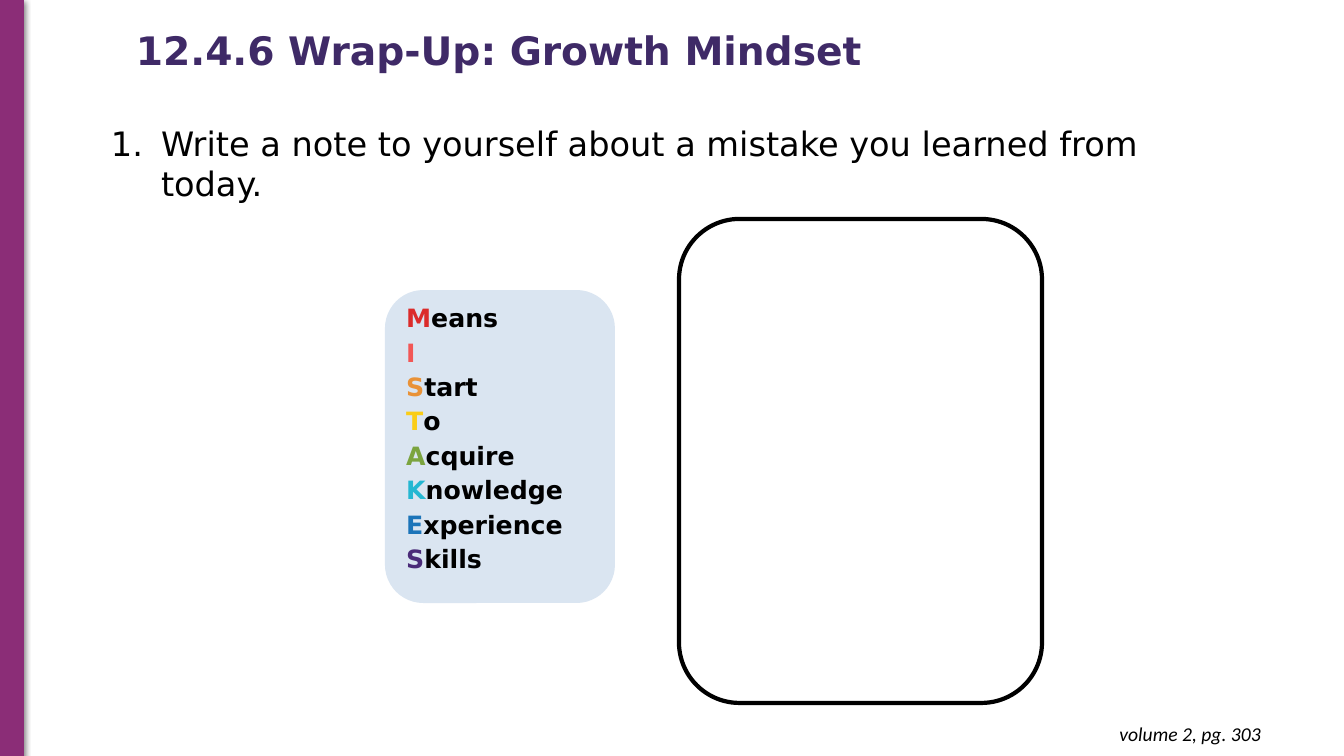
from lxml.etree import SubElement
from pptx import Presentation
from pptx.dml.color import RGBColor
from pptx.enum.shapes import MSO_SHAPE as SHAPE
from pptx.enum.text import MSO_ANCHOR as ANCHOR, PP_ALIGN as ALIGN
from pptx.oxml.ns import qn
from pptx.util import Pt

PX = 914400 / 100.8
BLACK = "000000"
PURPLE = "8B2D77"


def px(*lengths):
    return [round(n * PX) for n in lengths]


def add_text(sp, lines, size, font="DejaVu Sans", bold=False, italic=False,
             align=ALIGN.LEFT, anchor=ANCHOR.TOP, spacing=None,
             insets=(10, 5, 10, 5), number_indent=0):
    """Fill a shape; each line is a list of (text, colour) runs."""
    tf = sp.text_frame
    tf.word_wrap = True
    tf.vertical_anchor = anchor
    tf.margin_left, tf.margin_top, tf.margin_right, tf.margin_bottom = px(*insets)
    for i, runs in enumerate(lines):
        p = tf.add_paragraph() if i else tf.paragraphs[0]
        p.alignment = align
        p.line_spacing = spacing
        if number_indent:
            pPr = p._p.get_or_add_pPr()
            indent, = px(number_indent)
            pPr.set("marL", str(indent))
            pPr.set("indent", str(-indent))
            SubElement(pPr, qn("a:buFont"), typeface=font)
            SubElement(pPr, qn("a:buAutoNum"), type="arabicPeriod")
        for text, color in runs:
            r = p.add_run()
            r.text = text
            r.font.name, r.font.size = font, Pt(size)
            r.font.bold, r.font.italic = bold, italic
            r.font.color.rgb = RGBColor.from_string(color)


prs = Presentation()
prs.slide_width, prs.slide_height = px(1344, 756)
s = prs.slides.add_slide(prs.slide_layouts[6])

# Shapes: kind, box, fill, line, line width
shapes = []
for kind, box, fill, line, width in [
    (SHAPE.RECTANGLE, (0, 0, 24, 757), PURPLE, PURPLE, 0.75),
    (SHAPE.ROUNDED_RECTANGLE, (679, 219, 363, 484), None, BLACK, 3),
    (SHAPE.ROUNDED_RECTANGLE, (385, 290, 230, 313), "DAE5F1", None, 0),
]:
    sp = s.shapes.add_shape(kind, *px(*box))
    sp.shadow.inherit = False
    if fill:
        sp.fill.solid()
        sp.fill.fore_color.rgb = RGBColor.from_string(fill)
    else:
        sp.fill.background()
    if line:
        sp.line.color.rgb = RGBColor.from_string(line)
        sp.line.width = Pt(width)
    else:
        sp.line.fill.background()
    shapes.append(sp)
side_bar, note_frame, acronym_card = shapes

# Soft shadow under the side bar
effects = side_bar._element.spPr.find(qn("a:effectLst"))
shadow = SubElement(effects, qn("a:outerShdw"), blurRad=str(Pt(4.5)),
                    dist=str(Pt(1.5)), dir="5400000", rotWithShape="0")
shadow_color = SubElement(shadow, qn("a:srgbClr"), val=BLACK)
SubElement(shadow_color, qn("a:alpha"), val="50000")

# Title, task and page reference
title = s.shapes.add_textbox(*px(126, -20, 884, 146))
add_text(title, [[("12.4.6 Wrap-Up: Growth Mindset", "3F2A67")]], 28,
         bold=True, anchor=ANCHOR.MIDDLE, spacing=0.9)

task = s.shapes.add_textbox(*px(101, 118, 1159, 92))
add_text(task, [[("Write a note to yourself about a mistake you learned from today.",
                  BLACK)]], 24, number_indent=50)

page_ref = s.shapes.add_textbox(*px(981, 712, 290, 44))
add_text(page_ref, [[("volume 2, pg. 303", BLACK)]], 14, font="Calibri",
         italic=True, align=ALIGN.RIGHT, insets=(10, 10, 10, 10))

# MISTAKES acronym
words = {
    "DB2B2A": "Means", "F25756": "I", "E99237": "Start", "FACD17": "To",
    "7BA43F": "Acquire", "24B7D2": "Knowledge", "1B74B9": "Experience",
    "4A2B79": "Skills",
}
lines = []
for color, word in words.items():
    runs = [(word[0], color)]
    if word[1:]:
        runs.append((word[1:], BLACK))
    lines.append(runs)
# The inner edge of a rounded rectangle already adds to the left inset
add_text(acronym_card, lines, 18, bold=True, anchor=ANCHOR.MIDDLE,
         spacing=1.14, insets=(10, 5, 10, 26))

prs.save("out.pptx")
